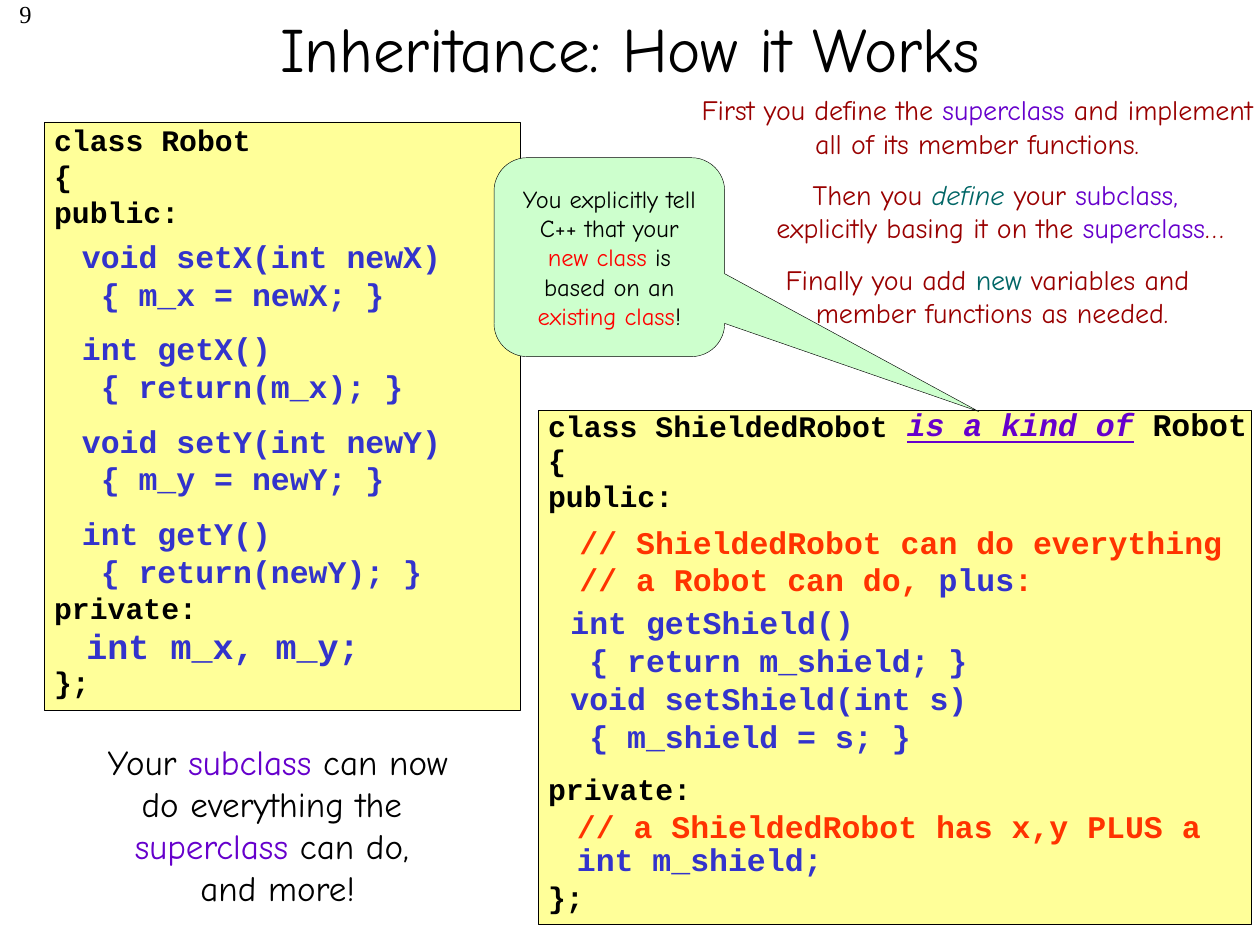
from pptx import Presentation
from pptx.dml.color import RGBColor
from pptx.enum.shapes import MSO_SHAPE as Shape
from pptx.enum.text import MSO_ANCHOR as Anchor, PP_ALIGN as Align
from pptx.util import Cm, Pt

COLORS = {
    "black": "000000", "blue": "3333CC", "orange": "FF3300", "purple": "6600CC",
    "maroon": "990000", "teal": "006666", "red": "FF0000",
    "yellow": "FFFF99", "green": "CDFFCD",
}
CODE, PROSE, SERIF = "Courier New", "Comic Neue", "Times New Roman"
CODE_LEADING = 1.2

TITLE = "Inheritance: How it Works"
PANELS = [(0.89, 2.46, 9.6, 11.86), (10.85, 8.28, 14.38, 10.36)]
CALLOUT = (9.96, 3.18, 4.65, 4.01)
POINTER = (1.601, 0.776, 0.167)
CALLOUT_LINES = [[
    ("You explicitly tell C++ that your ", "black"), ("new class ", "red"),
    ("is based on an ", "black"), ("existing class", "red"), ("!", "black"),
]]

PROSE_BOXES = [
    ((13.77, 1.75, 11.86, 1.63), 16, [
        [("First you define the ", "maroon"), ("superclass", "purple"),
         (" and implement all of its member functions.", "maroon")],
    ]),
    ((12.78, 3.45, 14.76, 1.63), 16, [
        [("Then you ", "maroon"), ("define", "teal", "i"), (" your ", "maroon"),
         ("subclass, ", "purple")],
        [("explicitly basing it on the ", "maroon"), ("superclass", "purple"),
         ("…", "maroon")],
    ]),
    ((12.62, 5.16, 14.76, 1.63), 16, [
        [("Finally you add ", "maroon"), ("new ", "teal"), ("variables and ", "maroon")],
        [("member functions as needed.", "maroon")],
    ]),
    ((1.7, 14.81, 7.8, 3.68), 20, [
        [("Your ", "black"), ("subclass", "purple"), (" can now", "black")],
        [("do everything the ", "black")],
        [("superclass", "purple"), (" can do, ", "black")],
        [("and more!", "black")],
    ]),
]

CODE_BOXES = [
    ((0.84, 2.34, 11.23, 12.19), 17, [
        [("class Robot", "black")], [("{", "black")], [("public:", "black")],
        [("private:", "black")], [("};", "black")],
    ], {3: 206, 4: 22}),
    ((0.64, 4.65, 9.65, 8.38), 18, [
        [("  void setX(int newX)", "blue")], [("   { m_x = newX; }", "blue")],
        [("  int getX()", "blue")], [("   { return(m_x); }", "blue")],
        [("  void setY(int newY)", "blue")], [("   { m_y = newY; }", "blue")],
        [("  int getY()", "blue")], [("   { return(newY); }", "blue")],
    ], {2: 9.6, 4: 9.6, 6: 9.6}),
    ((1.07, 12.47, 6.5, 1.12), 20, [[(" int m_x, m_y;", "blue")]], {}),
    ((10.8, 8.1, 14.6, 1), 17, [[("class ShieldedRobot", "black")]], {}),
    ((18.03, 8.05, 7.8, 1.02), 18, [
        [("is a kind of", "purple", "iu"), (" ", "black", "i"), ("Robot", "black")],
    ], {}),
    ((10.8, 8.79, 14.6, 9.83), 17, [
        [("{", "black")], [("public:", "black")],
        [("private:", "black")], [("};", "black")],
    ], {2: 147, 3: 41.4}),
    ((11.05, 10.41, 14.35, 1.78), 18, [
        [(" // ShieldedRobot can do everything", "orange")],
        [(" // a Robot can do, ", "orange"), ("plus", "blue"), (":", "orange")],
    ], {}),
    ((11.25, 12.04, 13.56, 3.33), 18, [
        [("int getShield()", "blue")], [(" { return m_shield; }", "blue")],
        [("void setShield(int s)", "blue")], [(" { m_shield = s; }", "blue")],
    ], {}),
    ((11, 16.15, 13.54, 1.02), 18, [
        [(" // a ShieldedRobot has x,y PLUS a", "orange")],
    ], {}),
    ((11.38, 16.81, 12.7, 1.02), 18, [[("int m_shield;", "blue")]], {}),
]


def rgb(name):
    return RGBColor.from_string(COLORS[name])


def place(box):
    return [Cm(v) for v in box]


def write(tf, lines, size, font, align, gaps=None):
    tf.word_wrap = True
    for i, line in enumerate(lines):
        p = tf.add_paragraph() if i else tf.paragraphs[0]
        p.alignment = align
        if font == CODE:
            p.line_spacing = Pt(size * CODE_LEADING)
        if gaps and i in gaps:
            p.space_before = Pt(gaps[i])
        for text, color, *style in line:
            r = p.add_run()
            r.text = text
            f = r.font
            f.name, f.size, f.bold = font, Pt(size), font == CODE
            f.color.rgb = rgb(color)
            f.italic = "i" in "".join(style)
            f.underline = "u" in "".join(style)


def add_text(s, box, *args):
    write(s.shapes.add_textbox(*place(box)).text_frame, *args)


def add_filled(s, kind, box, color):
    sp = s.shapes.add_shape(kind, *place(box))
    sp.shadow.inherit = False
    sp.fill.solid()
    sp.fill.fore_color.rgb = rgb(color)
    sp.line.color.rgb = rgb("black")
    sp.line.width = Pt(0.25)
    return sp


def main():
    prs = Presentation()
    prs.slide_width, prs.slide_height = Cm(25.4), Cm(19.05)
    s = prs.slides.add_slide(prs.slide_layouts[5])

    title = s.shapes.title
    title.left, title.top, title.width, title.height = place((1.9, -0.63, 21.6, 3.17))
    title.text_frame.vertical_anchor = Anchor.MIDDLE
    write(title.text_frame, [[(TITLE, "black")]], 36, PROSE, Align.CENTER)
    add_text(s, (0, -0.15, 0.89, 1.27), [[("9", "black")]], 14, SERIF, Align.RIGHT)

    for box in PANELS:
        add_filled(s, Shape.RECTANGLE, box, "yellow")
    for box, size, lines in PROSE_BOXES:
        add_text(s, box, lines, size, PROSE, Align.CENTER)
    for box, size, lines, gaps in CODE_BOXES:
        add_text(s, box, lines, size, CODE, Align.LEFT, gaps)

    sp = add_filled(s, Shape.ROUNDED_RECTANGULAR_CALLOUT, CALLOUT, "green")
    for i, value in enumerate(POINTER):
        sp.adjustments[i] = value
    sp.text_frame.vertical_anchor = Anchor.MIDDLE
    write(sp.text_frame, CALLOUT_LINES, 14, PROSE, Align.CENTER)

    prs.save("out.pptx")


if __name__ == "__main__":
    main()
